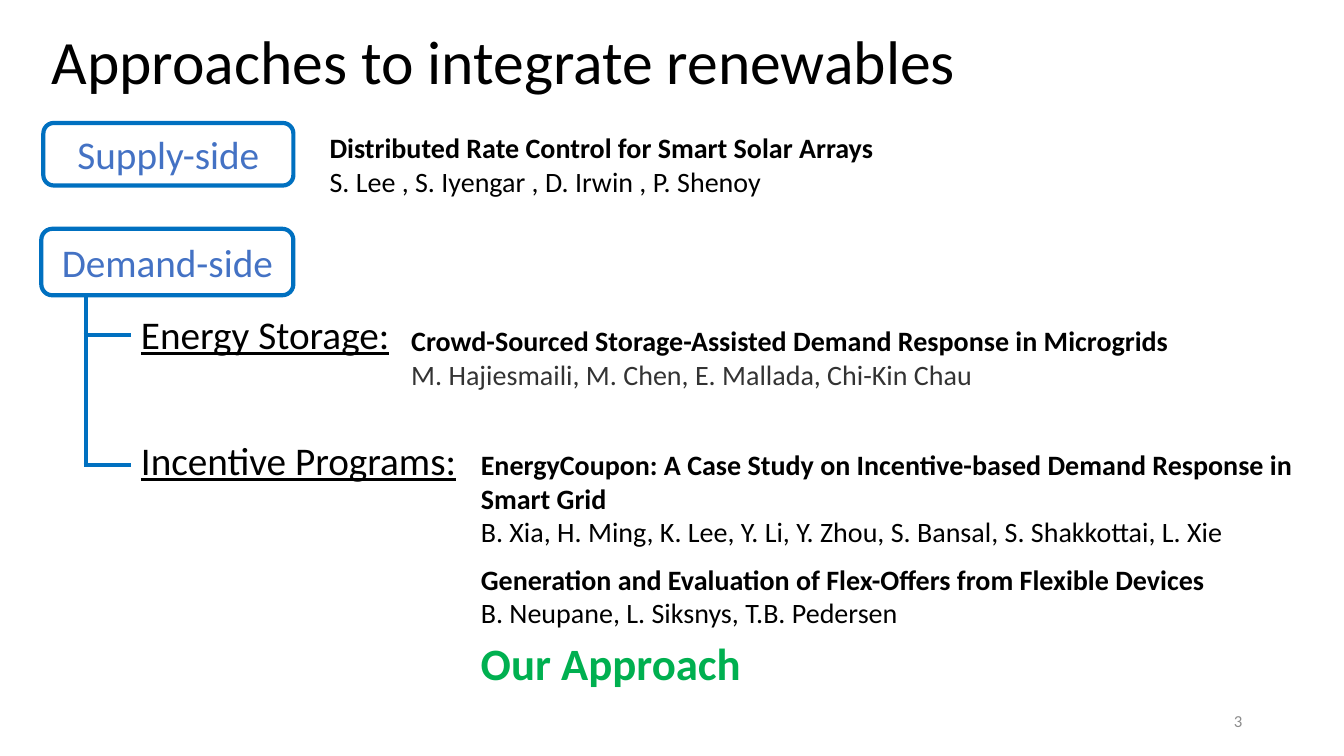
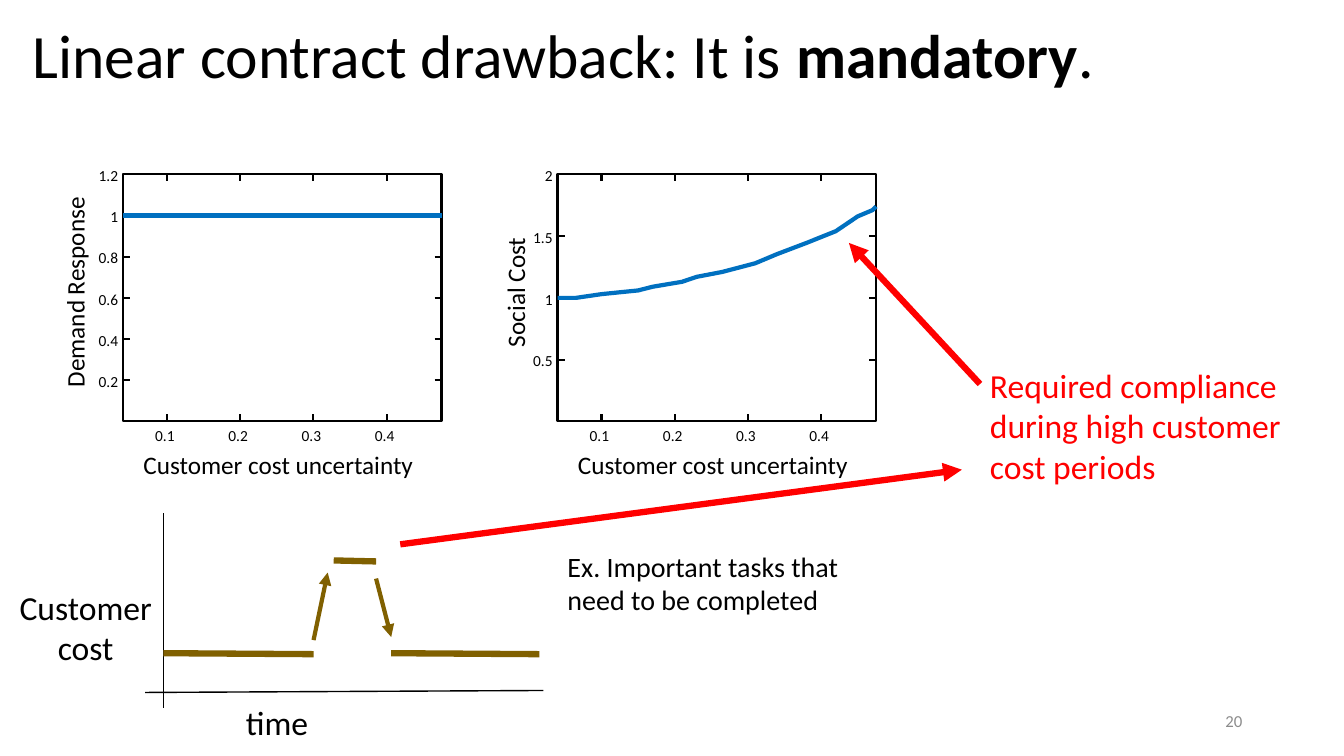
import pptx
import pptx.util
import pptx.dml.color
import pptx.enum.shapes
import pptx.enum.text
import pptx.oxml.ns
from lxml import etree

Inches, Pt = pptx.util.Inches, pptx.util.Pt
SHAPES = pptx.enum.shapes.MSO_SHAPE
ANCHOR = pptx.enum.text.MSO_ANCHOR
ALIGN = {
    "left": pptx.enum.text.PP_ALIGN.LEFT,
    "center": pptx.enum.text.PP_ALIGN.CENTER,
    "right": pptx.enum.text.PP_ALIGN.RIGHT,
}

FONT = "Calibri"
BLACK, BLUE, LABEL_BLUE = "000000", "0070C0", "4472C4"
RED, GREEN, OLIVE, GRAY, DARK_GRAY = "FF0000", "00B050", "806000", "8C8C8C", "333333"

# Approaches slide: boxes are (left, top, width, height)
SIDES = [("Supply-side", (0.43, 1.22, 2.48, 0.62)),
         ("Demand-side", (0.41, 2.27, 2.5, 0.66))]
BRANCHES = [("Energy Storage:", 3.03, 2.8, 3.32),
            ("Incentive Programs:", 4.28, 3.4, 4.61)]
TRUNK_X, TRUNK_TOP, BRANCH_X = 0.85, 2.93, 1.3
PAPERS = [
    ("Distributed Rate Control for Smart Solar Arrays",
     "S. Lee , S. Iyengar , D. Irwin , P. Shenoy", BLACK, (3.17, 1.25, 6, 0.77)),
    ("Crowd-Sourced Storage-Assisted Demand Response in Microgrids",
     "M. Hajiesmaili, M. Chen, E. Mallada, Chi-Kin Chau", DARK_GRAY, (3.98, 3.16, 9.28, 0.77)),
    ("EnergyCoupon: A Case Study on Incentive-based Demand Response in Smart Grid",
     "B. Xia, H. Ming, K. Lee, Y. Li, Y. Zhou, S. Bansal, S. Shakkottai, L. Xie",
     BLACK, (4.67, 4.39, 8.48, 1.1)),
    ("Generation and Evaluation of Flex-Offers from Flexible Devices",
     "B. Neupane, L. Siksnys, T.B. Pedersen", BLACK, (4.67, 5.53, 8.48, 0.77)),
]

# Drawback slide: both plots share the uncertainty axis
PLOT_TOP, PLOT_WIDTH, PLOT_HEIGHT = 1.73, 3.16, 2.45
X_MIN, X_MAX, X_TICKS = 0.04, 0.475, (0.1, 0.2, 0.3, 0.4)
TICK = 0.07
PLOTS = [
    {"left": 1.22, "label": "Demand Response", "label_x": 0.74,
     "y_max": 1.2, "y_step": 0.2, "curve": [(0.04, 1), (0.475, 1)]},
    {"left": 5.53, "label": "Social Cost", "label_x": 5.11,
     "y_max": 2, "y_step": 0.5,
     "curve": [(0.04, 1), (0.065, 1), (0.1, 1.03), (0.125, 1.045), (0.15, 1.06),
               (0.17, 1.09), (0.21, 1.13), (0.23, 1.17), (0.265, 1.21),
               (0.31, 1.28), (0.34, 1.355), (0.38, 1.445), (0.42, 1.54),
               (0.45, 1.66), (0.47, 1.71), (0.475, 1.74)]},
]
# (start, end, colour, width, arrow)
COST_LINES = [
    ((1.62, 5.09), (1.62, 7.02), BLACK, 1, False),
    ((1.44, 6.87), (5.39, 6.85), BLACK, 1, False),
    ((1.62, 6.48), (3.11, 6.49), OLIVE, 4.5, False),
    ((3.31, 5.56), (3.73, 5.57), OLIVE, 4.5, False),
    ((3.88, 6.48), (5.35, 6.49), OLIVE, 4.5, False),
    ((3.11, 6.35), (3.25, 5.68), OLIVE, 3, True),
    ((3.73, 5.74), (3.88, 6.32), OLIVE, 3, True),
]
CALLOUT_LINES = [
    ((9.72, 3.81), (8.42, 2.41), RED, 4.5, True),
    ((3.97, 5.4), (9.54, 4.66), RED, 4.5, True),
]
# (text, box, size, colour, alignment)
NOTES = [
    ("Required compliance during high customer cost periods",
     (9.72, 3.57, 3.38, 1.31), 24, RED, "left"),
    ("Customer cost", (0.02, 5.77, 1.66, 0.91), 24, BLACK, "center"),
    ("time", (2.34, 6.91, 0.9, 0.5), 24, BLACK, "left"),
    ("Ex. Important tasks that need to be completed",
     (5.53, 5.4, 3.49, 0.77), 20, BLACK, "left"),
]


def rgb(color):
    return pptx.dml.color.RGBColor.from_string(color)


def inches(values):
    return [Inches(value) for value in values]


def add_run(paragraph, text, size, color=BLACK, bold=False, underline=False):
    run = paragraph.add_run()
    run.text = text
    font = run.font
    font.name, font.size, font.bold, font.underline = FONT, Pt(size), bold, underline
    font.color.rgb = rgb(color)


def add_text(slide, box, text, size, color=BLACK, align="left", **style):
    """Add a wrapping text box and return it."""
    textbox = slide.shapes.add_textbox(*inches(box))
    textbox.text_frame.word_wrap = True
    paragraph = textbox.text_frame.paragraphs[0]
    paragraph.alignment = ALIGN[align]
    add_run(paragraph, text, size, color, **style)
    return textbox


def add_line(slide, start, end, color, width, arrow=False):
    line = slide.shapes.add_connector(
        pptx.enum.shapes.MSO_CONNECTOR.STRAIGHT, *inches(start + end))
    line.line.color.rgb = rgb(color)
    line.line.width = Pt(width)
    if arrow:
        etree.SubElement(line.line._get_or_add_ln(),
                         pptx.oxml.ns.qn("a:tailEnd"), type="triangle")
    etree.SubElement(line._element.spPr, pptx.oxml.ns.qn("a:effectLst"))


def outline(shape, color, width):
    """Leave only an outline, with no fill and no shadow."""
    shape.shadow.inherit = False
    shape.fill.background()
    shape.line.color.rgb = rgb(color)
    shape.line.width = Pt(width)


def add_slide(deck, title_runs, title_box, number):
    """Add a title-only slide; title_runs holds (text, bold) pairs."""
    slide = deck.slides.add_slide(deck.slide_layouts[5])
    title = slide.shapes.title
    title.left, title.top, title.width, title.height = inches(title_box)
    frame = title.text_frame
    frame.vertical_anchor = ANCHOR.TOP
    frame.auto_size = pptx.enum.text.MSO_AUTO_SIZE.NONE
    frame.paragraphs[0].alignment = ALIGN["left"]
    for text, bold in title_runs:
        add_run(frame.paragraphs[0], text, 44, bold=bold)
    page = add_text(slide, (9.42, 6.95, 3, 0.4), number, 12, GRAY, "right")
    page.text_frame.vertical_anchor = ANCHOR.MIDDLE
    return slide


def add_side(slide, label, box):
    side = slide.shapes.add_shape(SHAPES.ROUNDED_RECTANGLE, *inches(box))
    outline(side, BLUE, 3)
    side.text_frame.vertical_anchor = ANCHOR.MIDDLE
    paragraph = side.text_frame.paragraphs[0]
    paragraph.alignment = ALIGN["center"]
    add_run(paragraph, label, 28, LABEL_BLUE)


def add_plot(slide, plot):
    left, y_max = plot["left"], plot["y_max"]
    right, bottom = left + PLOT_WIDTH, PLOT_TOP + PLOT_HEIGHT

    def x_at(value):
        return left + (value - X_MIN) / (X_MAX - X_MIN) * PLOT_WIDTH

    def y_at(value):
        return bottom - value / y_max * PLOT_HEIGHT

    frame = slide.shapes.add_shape(
        SHAPES.RECTANGLE, *inches((left, PLOT_TOP, PLOT_WIDTH, PLOT_HEIGHT)))
    outline(frame, BLACK, 1.5)

    for value in X_TICKS:
        x = x_at(value)
        for y in (PLOT_TOP, bottom - TICK):
            add_line(slide, (x, y), (x, y + TICK), BLACK, 1.5)
        add_text(slide, (x - 0.22, bottom, 0.4, 0.29), f"{value:g}", 11, align="center")

    steps = round(y_max / plot["y_step"])
    for step in range(1, steps + 1):
        value = step * plot["y_step"]
        y = y_at(value)
        if step < steps:
            for x in (left, right - TICK):
                add_line(slide, (x, y), (x + TICK, y), BLACK, 1.5)
        add_text(slide, (left - 0.35, y - 0.13, 0.4, 0.29), f"{value:g}", 11, align="right")

    points = [inches((x_at(x), y_at(y))) for x, y in plot["curve"]]
    builder = slide.shapes.build_freeform(*points[0])
    builder.add_line_segments(points[1:], close=False)
    outline(builder.convert_to_shape(), BLUE, 3)

    add_text(slide, (left - 0.04, 4.41, PLOT_WIDTH, 0.4),
             "Customer cost uncertainty", 18, align="center")
    label = add_text(slide, (plot["label_x"] - 1.1, 2.7, 2.2, 0.4),
                     plot["label"], 18, align="center")
    label.rotation = 270


def build_approaches(deck):
    slide = add_slide(deck, [("Approaches to integrate renewables", False)],
                      (0.41, 0.18, 12.74, 0.84), "3")
    for label, box in SIDES:
        add_side(slide, label, box)
    for title, authors, color, box in PAPERS:
        paper = add_text(slide, box, title, 20, bold=True)
        add_run(paper.text_frame.add_paragraph(), authors, 20, color)
    add_line(slide, (TRUNK_X, TRUNK_TOP), (TRUNK_X, BRANCHES[-1][3]), BLUE, 3)
    for label, top, width, y in BRANCHES:
        add_text(slide, (BRANCH_X, top, width, 0.57), label, 28, underline=True)
        add_line(slide, (TRUNK_X - 0.02, y), (BRANCH_X, y), BLUE, 3)
    add_text(slide, (4.67, 6.26, 3, 0.64), "Our Approach", 32, GREEN, bold=True)


def build_drawback(deck):
    title = [("Linear contract drawback: It is ", False), ("mandatory", True), (".", False)]
    slide = add_slide(deck, title, (0.22, 0.12, 13.11, 0.84), "20")
    for plot in PLOTS:
        add_plot(slide, plot)
    for line in COST_LINES + CALLOUT_LINES:
        add_line(slide, *line)
    for text, box, size, color, align in NOTES:
        add_text(slide, box, text, size, color, align)


def main():
    deck = pptx.Presentation()
    deck.slide_width, deck.slide_height = Inches(13.33), Inches(7.5)
    build_approaches(deck)
    build_drawback(deck)
    deck.save("out.pptx")


if __name__ == "__main__":
    main()
